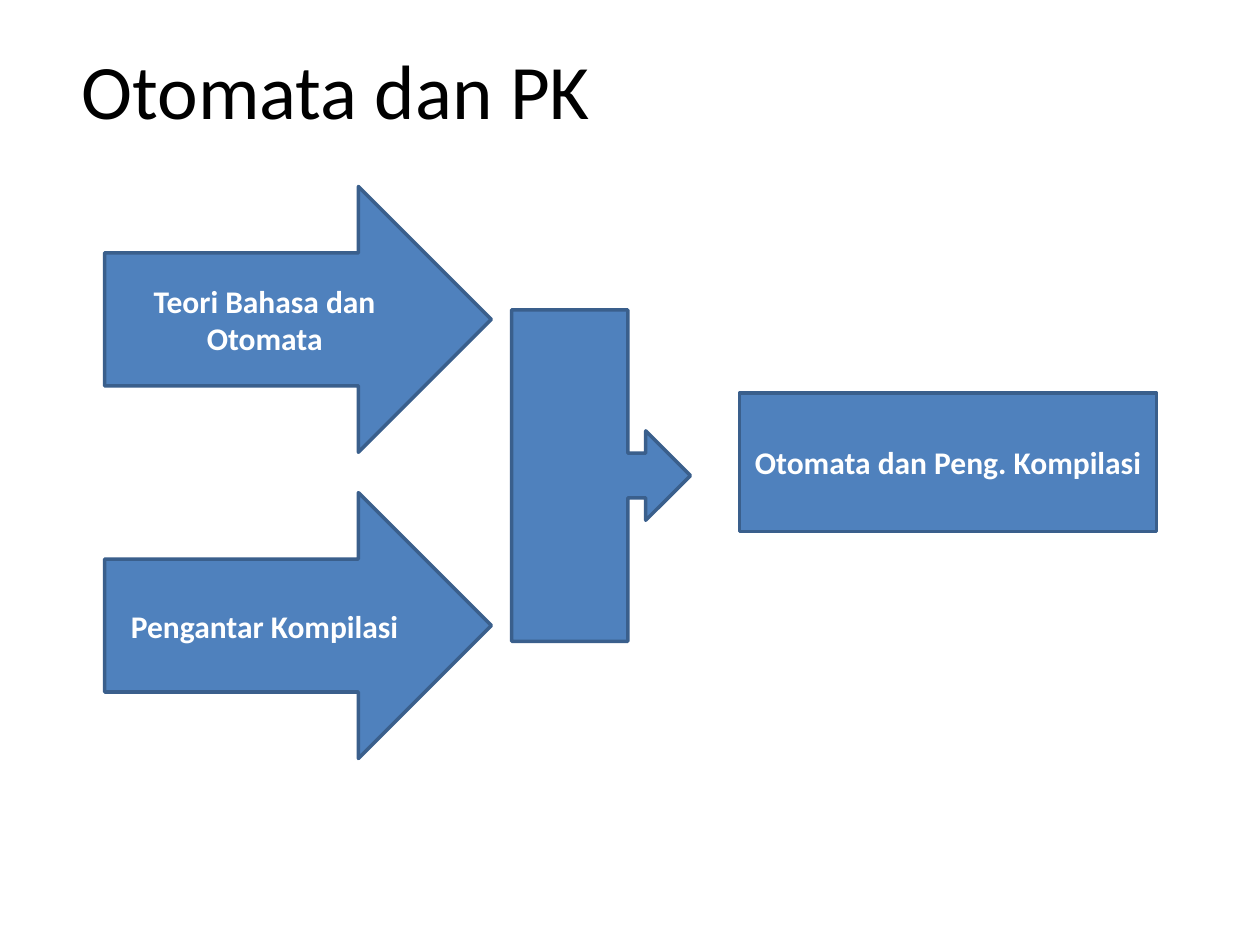
from dataclasses import dataclass

from pptx import Presentation
from pptx.dml.color import RGBColor
from pptx.enum.shapes import MSO_SHAPE
from pptx.enum.text import MSO_ANCHOR, PP_ALIGN
from pptx.util import Inches, Pt

ARROW = MSO_SHAPE.RIGHT_ARROW
CALLOUT = MSO_SHAPE.RIGHT_ARROW_CALLOUT
RECTANGLE = MSO_SHAPE.RECTANGLE
MIDDLE = MSO_ANCHOR.MIDDLE
LEFT, CENTER = PP_ALIGN.LEFT, PP_ALIGN.CENTER


@dataclass(frozen=True)
class Theme:
    font: str = "Calibri"
    title_size: int = 44
    label_size: int = 18
    line_width: int = 2
    title_color: RGBColor = RGBColor(0x00, 0x00, 0x00)
    label_color: RGBColor = RGBColor(0xFF, 0xFF, 0xFF)
    fill: RGBColor = RGBColor(0x4F, 0x81, 0xBD)
    line: RGBColor = RGBColor(0x3A, 0x5F, 0x8C)


THEME = Theme()


def write_text(shape, text, size, color, align, bold=False):
    frame = shape.text_frame
    frame.word_wrap = True
    frame.vertical_anchor = MIDDLE
    paragraph = frame.paragraphs[0]
    paragraph.alignment = align
    run = paragraph.add_run()
    run.text = text
    run.font.name = THEME.font
    run.font.size = Pt(size)
    run.font.bold = bold
    run.font.color.rgb = color


def add_title(slide, text):
    title = slide.shapes.add_textbox(Inches(0.55), Inches(0.08), Inches(9), Inches(1.25))
    write_text(title, text, THEME.title_size, THEME.title_color, LEFT)


def add_block(slide, kind, left, top, width, height, label=None):
    block = slide.shapes.add_shape(
        kind, Inches(left), Inches(top), Inches(width), Inches(height))
    block.shadow.inherit = False
    block.fill.solid()
    block.fill.fore_color.rgb = THEME.fill
    block.line.color.rgb = THEME.line
    block.line.width = Pt(THEME.line_width)
    if label:
        write_text(block, label, THEME.label_size, THEME.label_color, CENTER, bold=True)


def main():
    deck = Presentation()
    deck.slide_width, deck.slide_height = Inches(10), Inches(7.5)
    slide = deck.slides.add_slide(deck.slide_layouts[6])

    add_title(slide, "Otomata dan PK")

    # The two source courses
    courses = ["Teori Bahasa dan Otomata", "Pengantar Kompilasi"]
    for row, course in enumerate(courses):
        add_block(slide, ARROW, 0.83, 1.48 + row * 2.43, 3.07, 2.11, course)

    # Their merger and the combined course
    add_block(slide, CALLOUT, 4.06, 2.46, 1.42, 2.63)
    add_block(slide, RECTANGLE, 5.87, 3.12, 3.31, 1.1, "Otomata dan Peng. Kompilasi")

    deck.save("out.pptx")


if __name__ == "__main__":
    main()
